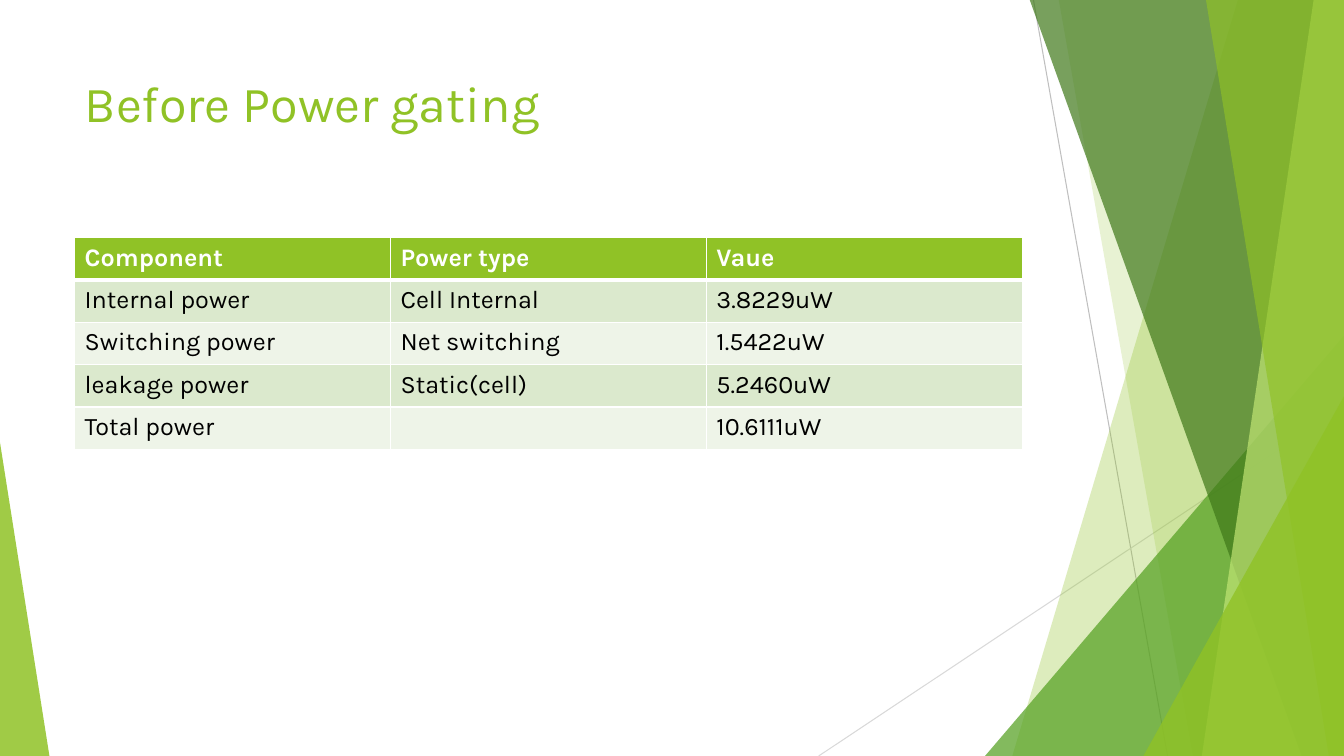
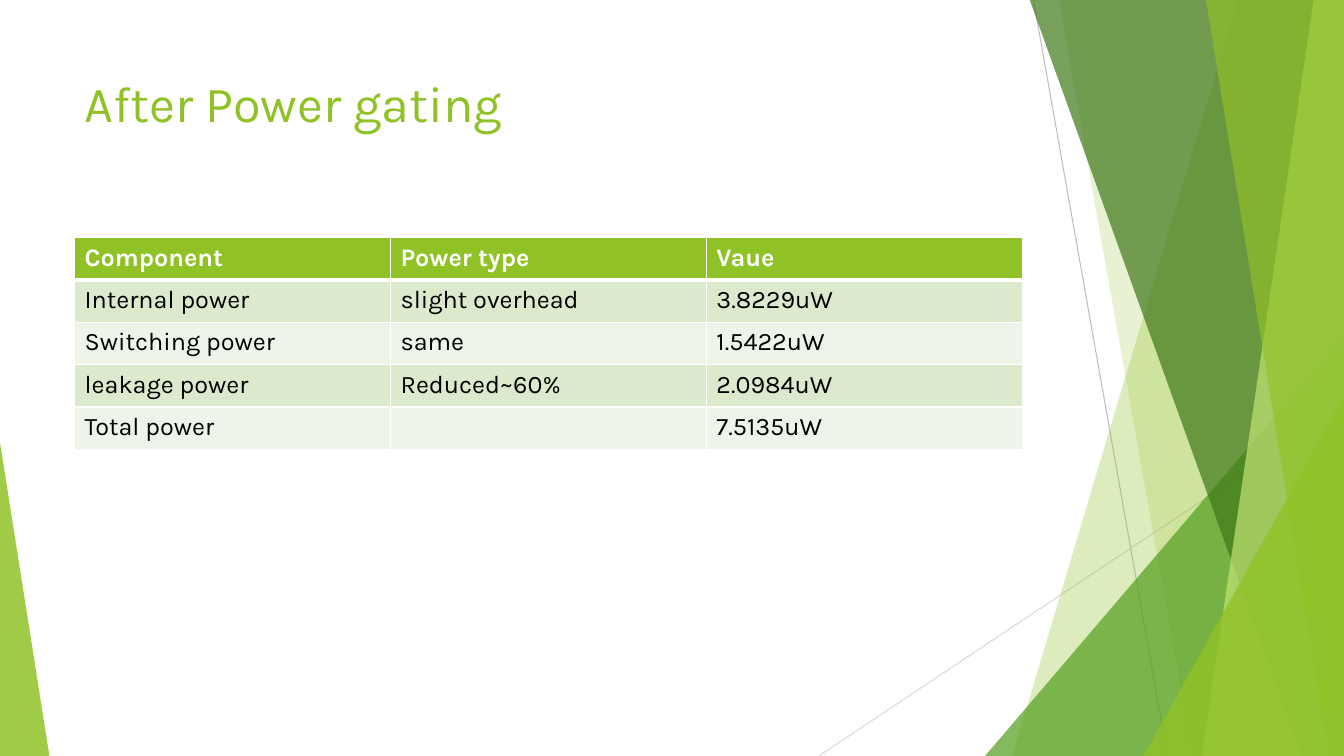
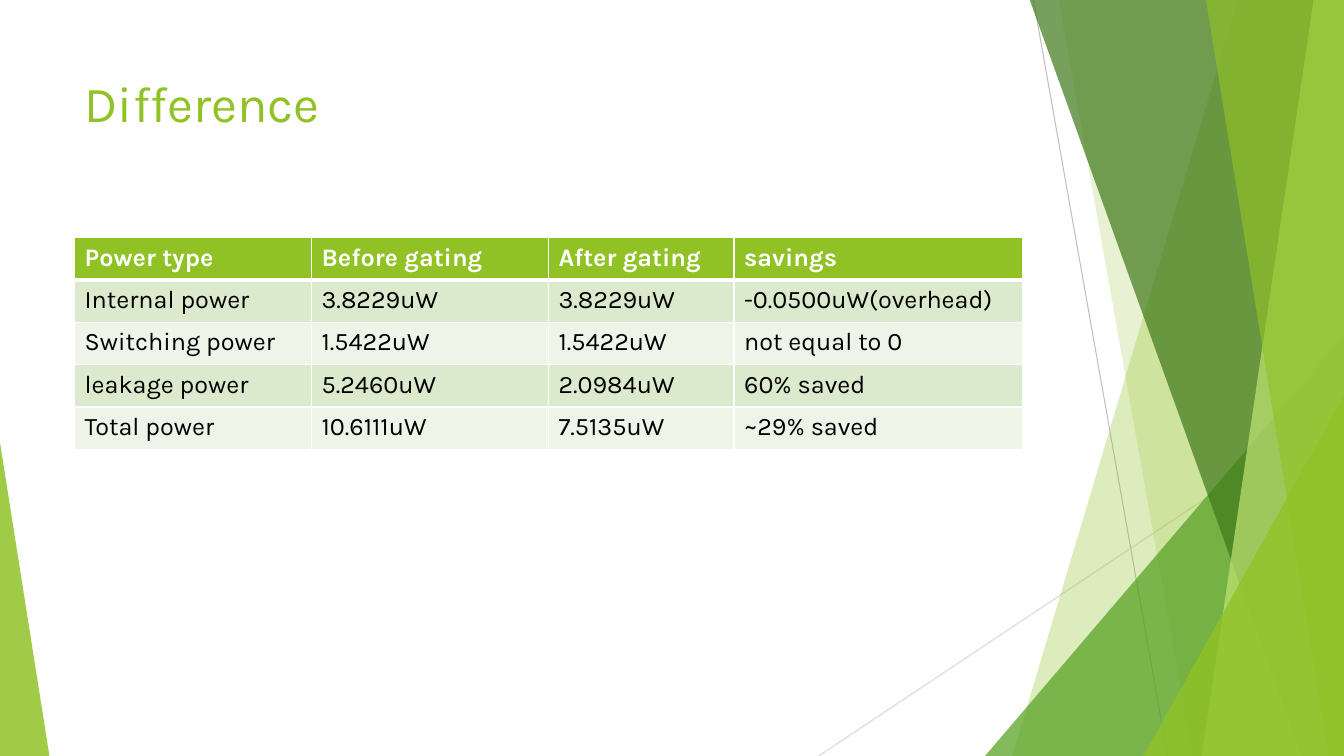
"""Build three slides that compare power use before and after gating."""
import dataclasses

import lxml.etree
import pptx
import pptx.dml.color
import pptx.enum.shapes
import pptx.enum.text
import pptx.oxml.ns
import pptx.shapes.base
import pptx.slide
import pptx.table
import pptx.util

Inches = pptx.util.Inches
Pt = pptx.util.Pt
RGBColor = pptx.dml.color.RGBColor
qn = pptx.oxml.ns.qn

LIME = RGBColor(0x90, 0xC2, 0x26)
GREEN = RGBColor(0x54, 0xA0, 0x21)
FOREST = RGBColor(0x3F, 0x78, 0x19)
PALE = RGBColor(0xC0, 0xE4, 0x74)
SILVER = RGBColor(0xBF, 0xBF, 0xBF)
MIST = RGBColor(0xD9, 0xD9, 0xD9)
ODD = RGBColor(0xDB, 0xE9, 0xCD)
EVEN = RGBColor(0xEE, 0xF4, 0xE8)
WHITE = RGBColor(0xFF, 0xFF, 0xFF)
BLACK = RGBColor(0, 0, 0)

FONT = "Karla"
WIDE, HIGH = 13.33, 7.5
LEFT, SPAN = 0.74, 9.4
ROW = 0.42
THIRDS = (SPAN / 3,) * 3


@dataclasses.dataclass(frozen=True)
class Line:
    """A thin straight line."""
    start: tuple[float, float]
    end: tuple[float, float]
    color: RGBColor


@dataclasses.dataclass(frozen=True)
class Band:
    """A full-height band with a slanted left edge."""
    top: float
    base: float
    color: RGBColor
    alpha: int


@dataclasses.dataclass(frozen=True)
class Wedge:
    """A right triangle that stands on the bottom edge."""
    left: float
    top: float
    width: float
    peak: int
    color: RGBColor
    alpha: int


@dataclasses.dataclass(frozen=True)
class Page:
    """The title, column widths and rows of one slide."""
    title: str
    widths: tuple[float, ...]
    rows: tuple[tuple[str, ...], ...]


DECOR = (
    Line((10.25, 0), (11.58, HIGH), SILVER),
    Line((WIDE, 4.03), (8.12, HIGH), MIST),
    Band(12.28, 10.04, LIME, 30),
    Band(10.5, 11.83, LIME, 20),
    Wedge(9.77, 3.33, 3.56, 1, GREEN, 72),
    Band(10.21, 12.91, FOREST, 70),
    Band(13.03, 11.92, PALE, 70),
    Band(11.96, 13.18, LIME, 65),
    Wedge(11.34, 3.93, 1.99, 1, LIME, 80),
    Wedge(0, 4.39, 0.49, 0, LIME, 85),
)

HEAD = ("Component", "Power type", "Vaue")
PAGES = (
    Page("Before Power gating", THIRDS, (
        HEAD,
        ("Internal power", "Cell Internal", "3.8229uW"),
        ("Switching power", "Net switching", "1.5422uW"),
        ("leakage power", "Static(cell)", "5.2460uW"),
        ("Total power", "", "10.6111uW"),
    )),
    Page("After Power gating", THIRDS, (
        HEAD,
        ("Internal power", "slight overhead", "3.8229uW"),
        ("Switching power", "same", "1.5422uW"),
        ("leakage power", "Reduced~60%", "2.0984uW"),
        ("Total power", "", "7.5135uW"),
    )),
    Page("Difference", (2.35, 2.35, 1.84, 2.86), (
        ("Power type", "Before gating", "After gating", "savings"),
        ("Internal power", "3.8229uW", "3.8229uW", "-0.0500uW(overhead)"),
        ("Switching power", "1.5422uW", "1.5422uW", "not equal to 0"),
        ("leakage power", "5.2460uW", "2.0984uW", "60% saved"),
        ("Total power", "10.6111uW", "7.5135uW", "~29% saved"),
    )),
)


def draw_line(slide: pptx.slide.Slide, line: Line) -> pptx.shapes.base.BaseShape:
    """Draw a line without a shadow."""
    ends = [Inches(v) for v in line.start + line.end]
    shape = slide.shapes.add_connector(pptx.enum.shapes.MSO_CONNECTOR.STRAIGHT, *ends)
    shape.line.color.rgb = line.color
    shape.line.width = Pt(0.75)
    lxml.etree.SubElement(shape.element.spPr, qn("a:effectLst"))
    return shape


def draw_fill(slide: pptx.slide.Slide, part: Band | Wedge) -> pptx.shapes.base.BaseShape:
    """Draw a band or wedge with a see-through fill."""
    if isinstance(part, Band):
        edge = -0.01
        build = slide.shapes.build_freeform(Inches(part.top), Inches(edge))
        spots = ((WIDE, edge), (WIDE, HIGH), (part.base, HIGH))
        build.add_line_segments([(Inches(x), Inches(y)) for x, y in spots])
        shape = build.convert_to_shape()
    else:
        shape = slide.shapes.add_shape(
            pptx.enum.shapes.MSO_SHAPE.ISOSCELES_TRIANGLE, Inches(part.left),
            Inches(part.top), Inches(part.width), Inches(HIGH - part.top))
        shape.adjustments[0] = part.peak
    shape.shadow.inherit = False
    shape.line.fill.background()
    shape.fill.solid()
    shape.fill.fore_color.rgb = part.color
    tint = shape.element.spPr.find(qn("a:solidFill"))[0]
    lxml.etree.SubElement(tint, qn("a:alpha"), val=str(part.alpha * 1000))
    return shape


def set_decor(slide: pptx.slide.Slide, layout: pptx.slide.SlideLayout) -> None:
    """Draw the shared decor and move it to the back of the layout."""
    tree = layout.shapes.element
    for pos, part in enumerate(DECOR):
        draw = draw_line if isinstance(part, Line) else draw_fill
        item = draw(slide, part).element
        item.xpath(".//p:cNvPr")[0].set("id", str(100 + pos))
        tree.insert(2 + pos, item)


def add_run(frame: pptx.text.text.TextFrame, text: str, size: int,
            color: RGBColor, bold: bool = False) -> None:
    """Add one styled run to the first paragraph."""
    run = frame.paragraphs[0].add_run()
    run.text = text
    run.font.name = FONT
    run.font.size = Pt(size)
    run.font.bold = bold
    run.font.color.rgb = color


def set_edge(cell: pptx.table._Cell, side: str, width: int) -> None:
    """Give one side of a cell a white border."""
    props = cell._tc.get_or_add_tcPr()
    edge = lxml.etree.SubElement(props, qn("a:ln" + side), w=str(Pt(width)))
    fill = lxml.etree.SubElement(edge, qn("a:solidFill"))
    lxml.etree.SubElement(fill, qn("a:srgbClr"), val=str(WHITE))


def add_grid(slide: pptx.slide.Slide, page: Page) -> None:
    """Add the table of a page."""
    count = len(page.rows)
    grid = slide.shapes.add_table(
        count, len(page.widths), Inches(LEFT), Inches(2.36),
        Inches(SPAN), Inches(ROW * count)).table
    for col, width in zip(grid.columns, page.widths):
        col.width = Inches(width)
    for r, row in enumerate(page.rows):
        head = r == 0
        for c, text in enumerate(row):
            cell = grid.cell(r, c)
            for side in "LRTB":
                thick = (r, side) in ((0, "B"), (1, "T"))
                set_edge(cell, side, 3 if thick else 1)
            cell.fill.solid()
            cell.fill.fore_color.rgb = LIME if head else ODD if r % 2 else EVEN
            if text:
                add_run(cell.text_frame, text, 18, WHITE if head else BLACK, head)


def add_title(slide: pptx.slide.Slide, text: str) -> None:
    """Place and fill the title."""
    title = slide.shapes.title
    title.left, title.top = Inches(LEFT), Inches(0.67)
    title.width, title.height = Inches(SPAN), Inches(1.44)
    frame = title.text_frame
    frame.auto_size = pptx.enum.text.MSO_AUTO_SIZE.NONE
    frame.vertical_anchor = pptx.enum.text.MSO_ANCHOR.TOP
    frame.paragraphs[0].alignment = pptx.enum.text.PP_ALIGN.LEFT
    add_run(frame, text, 36, LIME)


def main() -> None:
    """Build and save the deck."""
    deck = pptx.Presentation()
    deck.slide_width, deck.slide_height = Inches(WIDE), Inches(HIGH)
    layout = deck.slide_layouts[5]
    for page in PAGES:
        slide = deck.slides.add_slide(layout)
        if page is PAGES[0]:
            set_decor(slide, layout)
        add_title(slide, page.title)
        add_grid(slide, page)
    deck.save("out.pptx")


if __name__ == "__main__":
    main()
